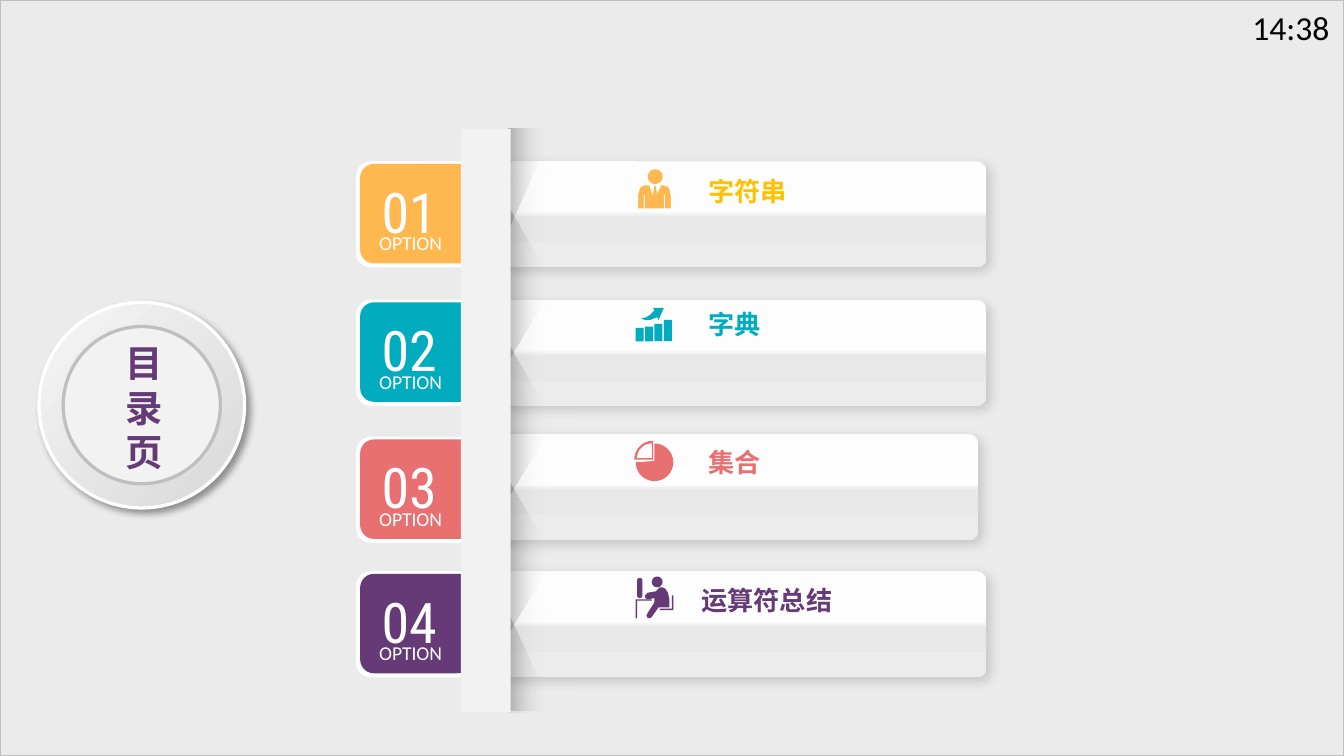
from math import cos, radians, sin

from pptx import Presentation
from pptx.dml.color import RGBColor
from pptx.enum import shapes as es, text as et
from pptx.oxml import parse_xml
from pptx.oxml.ns import nsdecls, qn
from pptx.util import Inches, Pt

# Content
HEX = dict(gold="FFB850", sun="FFC000", teal="01ACBE", rose="E87071", plum="663A77",
           white="FFFFFF", pale="F2F2F2", gray="BFBFBF", back="A6A6A6", black="000000")
CJK, SANS, NARROW = "Noto Sans CJK SC", "Calibri", "Roboto Condensed"
TITLE, TIME, OPTION = "目录页", "14:38", "OPTION"
# number, colour, tab top, card left and top
ROWS = [
    ("01", "gold", 1.2, 3.74, 1.2),
    ("02", "teal", 2.23, 3.74, 2.23),
    ("03", "rose", 3.25, 3.68, 3.23),
    ("04", "plum", 4.25, 3.74, 4.25),
]
# label, colour, box, wrap
LABELS = [
    ("字符串", "sun", (5.17, 1.25, 1.39, 0.34), True),
    ("字典", "teal", (5.17, 2.24, 0.59, 0.34), False),
    ("集合", "rose", (5.17, 3.27, 0.62, 0.34), False),
    ("运算符总结", "plum", (5.12, 4.3, 1.24, 0.34), True),
]
CARD = [(47, "FDFDFD", 100), (53, "E8E8E8", 100), (100, "ECECEC", 100)]
SHADE = [(0, HEX["black"], 21), (100, HEX["pale"], 0)]
FADE = [(0, HEX["pale"], 0), (100, HEX["black"], 21)]

# Icon outlines
SUIT = [(4.98, 1.41), (4.97, 1.39), (4.94, 1.38), (4.92, 1.38), (4.87, 1.49), (4.89, 1.45),
        (4.88, 1.39), (4.87, 1.38), (4.86, 1.45), (4.87, 1.49), (4.83, 1.38), (4.8, 1.38),
        (4.77, 1.39), (4.76, 1.41), (4.75, 1.45), (4.75, 1.54), (4.79, 1.54), (4.79, 1.44),
        (4.8, 1.44), (4.8, 1.54), (4.94, 1.54), (4.94, 1.44), (4.95, 1.44), (4.95, 1.54),
        (4.99, 1.54), (4.99, 1.45)]
ARROW = [(4.87, 2.31), (4.84, 2.34), (4.81, 2.36), (4.77, 2.37), (4.8, 2.38), (4.84, 2.38),
         (4.89, 2.36), (4.9, 2.38), (4.94, 2.29), (4.86, 2.29)]
BARS = [0.1, 0.11, 0.13, 0.16]
DESK = [(4.73, 4.46), (4.85, 4.46), (4.85, 4.47), (4.74, 4.47), (4.74, 4.6), (4.73, 4.6)]
BODY = [(4.82, 4.56), (4.81, 4.58), (4.82, 4.6), (4.84, 4.6), (4.85, 4.59), (4.9, 4.52),
        (4.98, 4.52), (4.98, 4.46), (4.97, 4.41), (4.95, 4.38), (4.93, 4.37), (4.91, 4.37),
        (4.88, 4.4), (4.82, 4.41), (4.8, 4.43), (4.8, 4.45), (4.82, 4.46), (4.87, 4.45),
        (4.87, 4.48)]
SEAT = [(4.91, 4.53), (5, 4.53), (5, 4.43), (5.01, 4.43), (5.01, 4.54), (4.91, 4.54)]

deck = Presentation()
deck.slide_width = Inches(10)
deck.slide_height = deck.slide_width * 9 // 16
slide = deck.slides.add_slide(deck.slide_layouts[5])
pool = slide.shapes
KIND = es.MSO_SHAPE


def rgb(name):
    return RGBColor.from_string(HEX[name])


def blend(shape, stops, angle):
    """Give the shape a linear gradient of (place, colour, opacity) stops."""
    shape.fill.solid()
    old = shape._element.spPr.find(qn("a:solidFill"))
    marks = "".join(
        f'<a:gs pos="{pos * 1000}"><a:srgbClr val="{hue}"><a:alpha val="{alpha * 1000}"/>'
        f"</a:srgbClr></a:gs>" for pos, hue, alpha in stops)
    old.getparent().replace(old, parse_xml(
        f'<a:gradFill {nsdecls("a")} rotWithShape="1"><a:gsLst>{marks}</a:gsLst>'
        f'<a:lin ang="{angle * 60000}" scaled="0"/></a:gradFill>'))


def glow(shape, alpha, blur, dist):
    """Cast a black shadow down and to the right."""
    shape._element.spPr.find(qn("a:effectLst")).append(parse_xml(
        f'<a:outerShdw {nsdecls("a")} blurRad="{Pt(blur)}" dist="{Pt(dist)}" dir="2700000" '
        f'algn="tl" rotWithShape="0"><a:srgbClr val="000000"><a:alpha val="{alpha * 1000}"/>'
        f"</a:srgbClr></a:outerShdw>"))


def plain(shape, fill=None, line=None, width=1.75):
    shape.shadow.inherit = False
    if fill:
        shape.fill.solid()
        shape.fill.fore_color.rgb = rgb(fill)
    if line:
        shape.line.color.rgb = rgb(line)
        shape.line.width = Pt(width)
    else:
        shape.line.fill.background()
    return shape


def form(kind, box, fill=None, line=None, width=1.75, adj=None):
    shape = pool.add_shape(kind, *map(Inches, box))
    if adj is not None:
        shape.adjustments[0] = adj
    return plain(shape, fill, line, width)


def poly(fill, *loops):
    first, *rest = [[(Inches(x), Inches(y)) for x, y in loop] for loop in loops]
    pen = pool.build_freeform(*first[0])
    pen.add_line_segments(first[1:], close=True)
    for loop in rest:
        pen.move_to(*loop[0])
        pen.add_line_segments(loop[1:], close=True)
    return plain(pen.convert_to_shape(), fill)


def arc(x, y, r, start, end, steps=24):
    turns = [radians(start + (end - start) * i / steps) for i in range(steps + 1)]
    return [(x + r * cos(t), y + r * sin(t)) for t in turns]


def write(frame, words, size, font, hue, bold=False, center=True, wrap=True, lead=None):
    frame.word_wrap = wrap
    frame.auto_size = et.MSO_AUTO_SIZE.NONE
    frame.vertical_anchor = et.MSO_ANCHOR.TOP
    para = frame.paragraphs[0]
    para.alignment = et.PP_ALIGN.CENTER if center else et.PP_ALIGN.LEFT
    if lead:
        para.line_spacing = Pt(lead)
    run = para.add_run()
    run.text = words
    run.font.size, run.font.name, run.font.bold = Pt(size), font, bold
    run.font.color.rgb = rgb(hue)
    run._r.get_or_add_rPr().find(qn("a:latin")).addnext(
        parse_xml(f'<a:ea {nsdecls("a")} typeface="{font}"/>'))


def label(box, *args, **opts):
    write(pool.add_textbox(*map(Inches, box)).text_frame, *args, **opts)


# Backdrop and clock
back = form(KIND.RECTANGLE, (0, 0, 10, 5.62), "back", "gray", 1)
back.height = deck.slide_height
back._element.spPr.find(qn("a:solidFill"))[0].append(
    parse_xml(f'<a:alpha {nsdecls("a")} val="22000"/>'))
label((9.22, 0, 0.78, 0.4), TIME, 18, SANS, "black", center=False, wrap=False)

# Round title badge
ring = form(KIND.OVAL, (0.29, 2.25, 1.53, 1.53), line="white")
blend(ring, [(0, "F5F5F5", 100), (100, "D9D9D9", 100)], 45)
glow(ring, 40, 4, 3)
form(KIND.OVAL, (0.47, 2.43, 1.17, 1.17), "pale", "gray")
title = pool.title
title.left, title.top, title.width, title.height = map(Inches, (0.75, 2.48, 0.65, 1.11))
write(title.text_frame, TITLE, 20, CJK, "plum", bold=True, lead=24)
pool._spTree.append(title._element)

# Numbered tabs
for num, hue, top, _, _ in ROWS:
    form(KIND.ROUNDED_RECTANGLE, (2.65, top, 0.88, 0.79), "white", adj=0.139)
    form(KIND.ROUNDED_RECTANGLE, (2.68, top + 0.02, 0.87, 0.74), hue, adj=0.139)
    label((2.62, top + 0.07, 0.85, 0.61), num, 30, NARROW, "white")
    label((2.63, top + 0.47, 0.85, 0.28), OPTION, 10.5, SANS, "white")

# Cards
for _, _, _, left, top in ROWS:
    card = form(KIND.ROUNDED_RECTANGLE, (left, top, 3.6, 0.79), adj=0.092)
    blend(card, CARD, 90)
    glow(card, 14, 6, 3)

# Folded shadows, tucked under the upright panel
blend(form(KIND.RECTANGLE, (3.78, 0.96, 0.28, 4.34)),
      [(0, HEX["black"], 8), (100, HEX["pale"], 0)], 0)
for edge, near, tip in [(0.96, 1.05, 1.71), (5.29, 5.2, 4.56)]:
    blend(poly(None, [(4.07, near), (3.78, tip), (3.78, edge), (4.07, edge)]), SHADE, 0)
for top in (1.97, 2.99, 4):
    fold = form(KIND.TRAPEZOID, (3.35, top, 1.15, 0.28), adj=1.74)
    fold.rotation = 90
    blend(fold, FADE, 90)
form(KIND.RECTANGLE, (3.43, 0.96, 0.37, 4.34), "pale")

# Labels
for words, hue, box, wrap in LABELS:
    label(box, words, 14, CJK, hue, bold=True, center=False, wrap=wrap, lead=17)

# Person icon, two layers
for drop in (0.01, 0):
    form(KIND.OVAL, (4.82, 1.26 + drop, 0.11, 0.1), "gold")
    poly("gold", [(x, y + drop) for x, y in SUIT])

# Growth icon
for i, high in enumerate(BARS):
    form(KIND.RECTANGLE, (4.73 + i * 0.07, 2.54 - high, 0.06, high), "teal")
poly("teal", ARROW)

# Pie icon
poly("rose", [(4.87, 3.43)] + arc(4.87, 3.44, 0.14, 180, -90))
poly("rose", [(4.86, 3.42)] + arc(4.86, 3.42, 0.14, 180, 270),
     [(4.85, 3.41)] + arc(4.85, 3.41, 0.11, 270, 180))

# Desk icon
poly("plum", DESK)
form(KIND.ROUNDED_RECTANGLE, (4.74, 4.3, 0.04, 0.15), "plum", adj=0.5)
poly("plum", BODY, arc(4.89, 4.33, 0.04, 0, 360))
poly("plum", SEAT)

deck.save("out.pptx")
